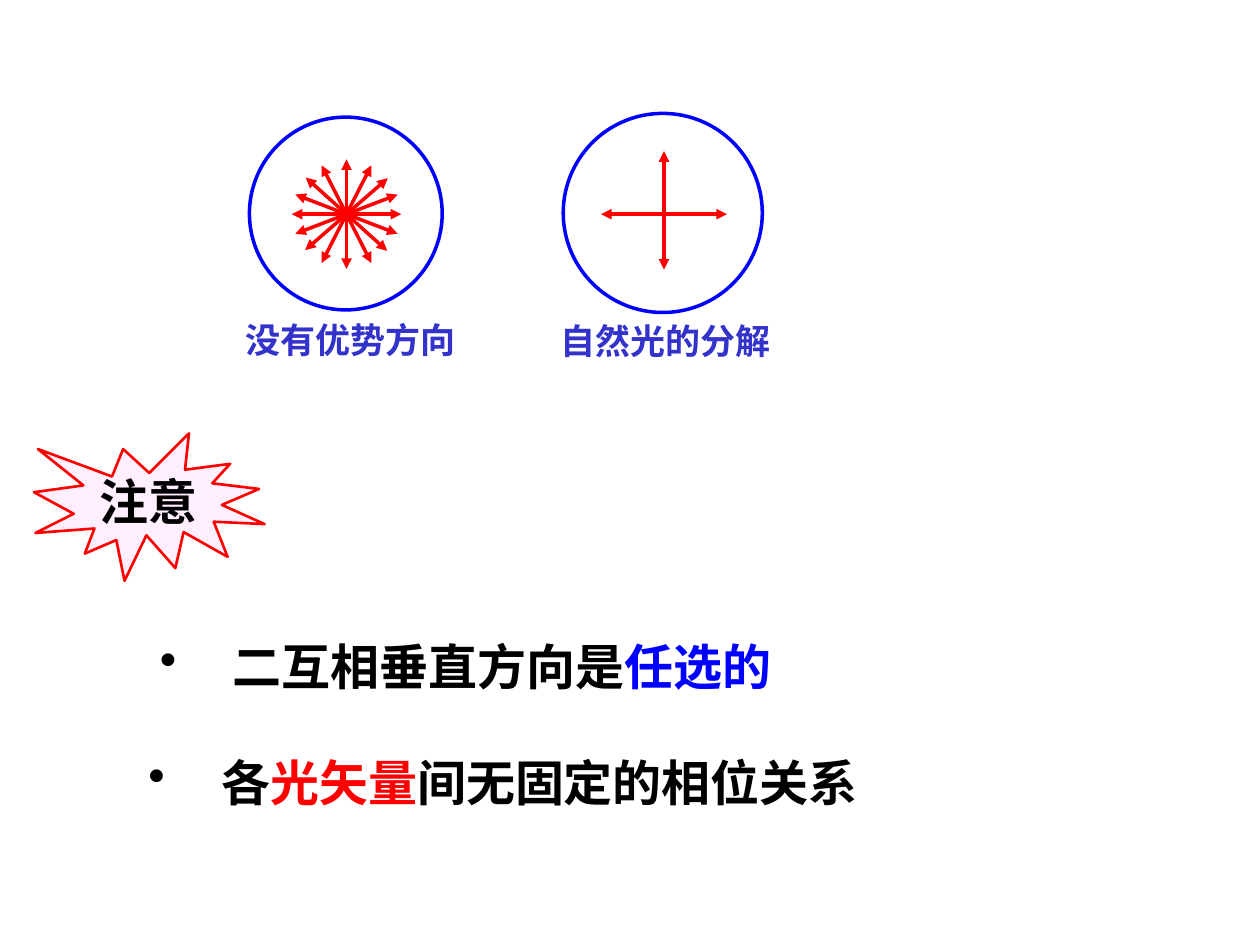
from math import cos, radians, sin

from lxml.etree import SubElement
from pptx import Presentation
from pptx.dml.color import RGBColor
from pptx.enum.shapes import MSO_CONNECTOR as Connector, MSO_SHAPE as Shape
from pptx.enum.text import MSO_ANCHOR as Anchor, PP_ALIGN as Align
from pptx.oxml.ns import qn
from pptx.util import Inches, Pt

BLUE, RED, BLACK, INDIGO = "0000FF", "FF0000", "000000", "3333CC"
WHITE, PINK = "FFFFFF", "FFEFFF"
SANS, SERIF = "Noto Sans CJK SC", "Times New Roman"

deck = Presentation()
deck.slide_width, deck.slide_height = Inches(10), Inches(7.5)
page = deck.slides.add_slide(deck.slide_layouts[6])
unit = deck.slide_width / 100  # the page is 100 columns by 75 rows


def grid(*cells):
    """Turn columns and rows into slide lengths."""
    return [round(cell * unit) for cell in cells]


def color(value):
    return RGBColor.from_string(value)


# Outlines: place, preset, fill, line colour, line width
outlines = [
    ((19.8, 9.3, 15.3, 15.3), Shape.OVAL, None, BLUE, 2),
    ((44.7, 9, 15.8, 15.8), Shape.OVAL, WHITE, BLUE, 2),
    ((2.7, 34.4, 18.3, 11.7), Shape.EXPLOSION1, PINK, RED, 1.5),
]
for place, preset, fill, line, width in outlines:
    outline = page.shapes.add_shape(preset, *grid(*place))
    outline.shadow.inherit = False
    if fill:
        outline.fill.solid()
        outline.fill.fore_color.rgb = color(fill)
    else:
        outline.fill.background()
    outline.line.color.rgb = color(line)
    outline.line.width = Pt(width)

# Light vectors: centre column, centre row, half length, angle in degrees
vectors = [(27.5, 17, 4.35, angle) for angle in (0, 21, 41, 63, 90, 117, 138, 159)]
vectors += [(52.7, 17, 5, 0), (52.7, 16.7, 4.7, 90)]
for column, row, reach, angle in vectors:
    across, up = reach * cos(radians(angle)), reach * sin(radians(angle))
    ends = grid(column - across, row + up, column + across, row - up)
    vector = page.shapes.add_connector(Connector.STRAIGHT, *ends)
    vector.line.color.rgb = color(RED)
    vector.line.width = Pt(2)
    for end in ("a:headEnd", "a:tailEnd"):
        SubElement(vector.line._get_or_add_ln(), qn(end), type="triangle")
    SubElement(vector._element.spPr, qn("a:effectLst"))

# Texts: place, size, font, alignment, bulleted, coloured parts
texts = [
    ((18.5, 24.7, 18.8, 4.5), 20, SANS, Align.JUSTIFY, False,
     [("没有优势方向", INDIGO)]),
    ((43.5, 24.7, 20.1, 4.7), 20, SANS, Align.JUSTIFY, False,
     [("自然光的分解", INDIGO)]),
    ((11.7, 50, 53.3, 5.7), 28, SERIF, Align.LEFT, True,
     [("二互相垂直方向是", BLACK), ("任选的", BLUE)]),
    ((10.8, 59.2, 75, 5.7), 28, SERIF, Align.LEFT, True,
     [("各", BLACK), ("光矢量", RED), ("间无固定的相位关系", BLACK)]),
    ((6.9, 36.9, 15.8, 5.7), 28, SERIF, Align.LEFT, False,
     [("注意", BLACK)]),
]
for place, size, font, align, bulleted, parts in texts:
    box = page.shapes.add_textbox(*grid(*place))
    box.text_frame.word_wrap = True
    box.text_frame.vertical_anchor = Anchor.MIDDLE
    para = box.text_frame.paragraphs[0]
    para.alignment = align
    if bulleted:
        indent = grid(5.8)[0]
        properties = para._p.get_or_add_pPr()
        properties.set("marL", str(indent))
        properties.set("indent", str(-indent))
        SubElement(properties, qn("a:buChar"), char="•")
    for words, ink in parts:
        span = para.add_run()
        span.text = words
        span.font.size, span.font.bold = Pt(size), True
        span.font.color.rgb = color(ink)
        span.font.name = font
        SubElement(span.font._element, qn("a:ea"), typeface=SANS)

deck.save("out.pptx")
